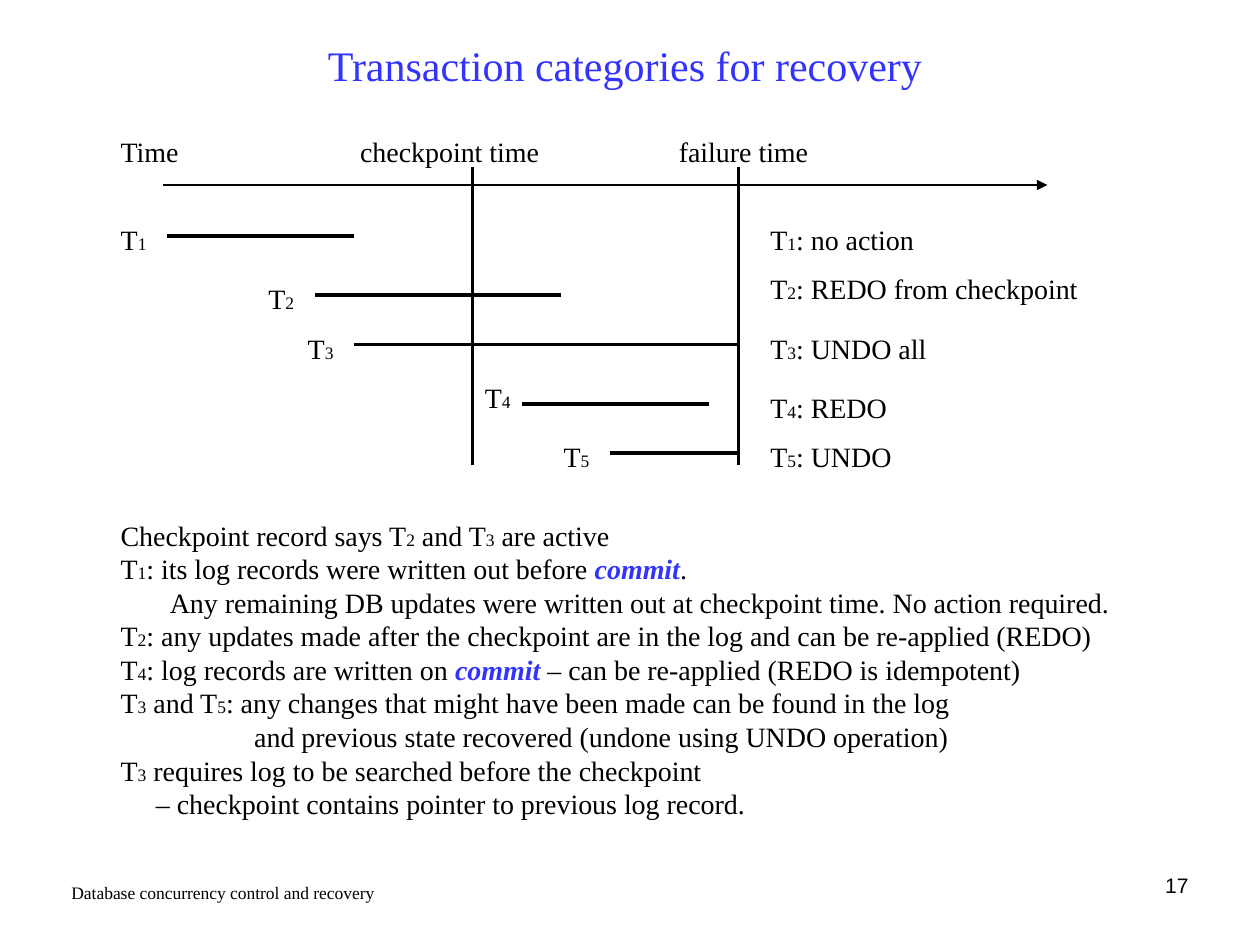
from lxml import etree
from pptx import Presentation
from pptx import util as u
from pptx.dml.color import RGBColor
from pptx.enum import shapes, text
from pptx.oxml import ns

BLACK = RGBColor(0x00, 0x00, 0x00)
BLUE = RGBColor(0x33, 0x33, 0xFF)
SERIF = "Times New Roman"
COLUMNS = 128
BODY, SMALL = 16, 10

TITLE = "Transaction categories for recovery"
FOOTER = "Database concurrency control and recovery"
PAGE = "17"
AXIS_LABELS = "Time\tcheckpoint time\tfailure time"
AXIS_TABS = (1.9, 4.43)

LEFT, CHECKPOINT, FAILURE, OUTCOME = 11, 48, 75, 77
AXIS = (16.6, 18.8, 106.4, 18.8)
MARK_TOP, MARK_BOTTOM = 17, 47.2

# name, label column, label row, start, end, line row, outcome, outcome row, outcome width
TRANSACTIONS = [
    ("T|1", LEFT, 22, 17, 36, 24, "|: no action", 22, 19),
    ("T|2", 26, 28, 32, 57, 30, "|: REDO from checkpoint", 27, 35),
    ("T|3", 30, 33, 36, FAILURE, 35, "|: UNDO all", 33, 19),
    ("T|4", CHECKPOINT, 38, 53, 72, 41, "|: REDO", 39, 19),
    ("T|5", 56, 44, 62, FAILURE, 46, "|: UNDO", 44, 19),
]

NOTES = [
    (0, "Checkpoint record says T|2| and T|3| are active"),
    (0, "T|1|: its log records were written out before |commit|."),
    (0.39, "Any remaining DB updates were written out at checkpoint time. No action required."),
    (0, "T|2|: any updates made after the checkpoint are in the log and can be re-applied (REDO)"),
    (0, "T|4|: log records are written on |commit| – can be re-applied (REDO is idempotent)"),
    (0, "T|3| and T|5|: any changes that might have been made can be found in the log"),
    (1.06, "and previous state recovered (undone using UNDO operation)"),
    (0, "T|3| requires log to be searched before the checkpoint"),
    (0.28, "– checkpoint contains pointer to previous log record."),
]

prs = Presentation()
prs.slide_width, prs.slide_height = u.Inches(10), u.Inches(7.5)
slide = prs.slides.add_slide(prs.slide_layouts[5])


def grid(*cells):
    return [round(prs.slide_width * c / COLUMNS) for c in cells]


def style(p, size, color=BLACK, name=SERIF):
    p.font.name, p.font.size, p.font.color.rgb = name, u.Pt(size), color


def add_runs(p, marked):
    for part in marked.split("|"):
        r = p.add_run()
        r.text = part
        if part.isdigit():
            r.font.size = u.Pt(SMALL)
        elif part == "commit":
            r.font.bold = r.font.italic = True
            r.font.color.rgb = BLUE


def add_box(x, y, w, h):
    tf = slide.shapes.add_textbox(*grid(x, y, w, h)).text_frame
    tf.word_wrap = True
    return tf


def add_label(marked, x, y, w, h=4.7):
    p = add_box(x, y, w, h).paragraphs[0]
    style(p, BODY)
    add_runs(p, marked)


def add_plain(words, x, y, w, size, name):
    p = add_box(x, y, w, 4.6).paragraphs[0]
    p.text = words
    style(p, size, name=name)
    return p


def add_line(x1, y1, x2, y2, width):
    sp = slide.shapes.add_connector(shapes.MSO_CONNECTOR.STRAIGHT, *grid(x1, y1, x2, y2))
    sp.line.color.rgb = BLACK
    sp.line.width = u.Pt(width)
    etree.SubElement(sp._element.spPr, ns.qn("a:effectLst"))
    return sp


title = slide.shapes.title
title.left, title.top, title.width, title.height = grid(5.5, 3.6, 116, 6)
tf = title.text_frame
tf.text = TITLE
tf.auto_size = text.MSO_AUTO_SIZE.NONE
tf.vertical_anchor = text.MSO_ANCHOR.MIDDLE
tf.paragraphs[0].alignment = text.PP_ALIGN.CENTER
style(tf.paragraphs[0], 24, BLUE)

p = add_box(LEFT, 13, 95, 4.7).paragraphs[0]
tabs = etree.SubElement(p._p.get_or_add_pPr(), ns.qn("a:tabLst"))
for stop in AXIS_TABS:
    etree.SubElement(tabs, ns.qn("a:tab"), pos=str(u.Inches(stop)), algn="l")
style(p, BODY)
p.add_run().text = AXIS_LABELS

axis = add_line(*AXIS, 0.75)
etree.SubElement(axis.line._get_or_add_ln(), ns.qn("a:tailEnd"), type="triangle")
for x in (CHECKPOINT, FAILURE):
    add_line(x, MARK_TOP, x, MARK_BOTTOM, 1.5)

for name, x, y, start, end, row, outcome, outcome_row, width in TRANSACTIONS:
    add_label(name, x, y, 6)
    add_line(start, row, end, row, 2.25)
    add_label(name + outcome, OUTCOME, outcome_row, width)

tf = add_box(LEFT, 52, 105, 32)
for i, (indent, marked) in enumerate(NOTES):
    p = tf.add_paragraph() if i else tf.paragraphs[0]
    p._p.get_or_add_pPr().set("marL", str(u.Inches(indent)))
    style(p, BODY)
    add_runs(p, marked)

add_plain(FOOTER, 6, 89, 41, SMALL, SERIF)
add_plain(PAGE, 92, 88, 30, 12, "Arial").alignment = text.PP_ALIGN.RIGHT

prs.save("out.pptx")
